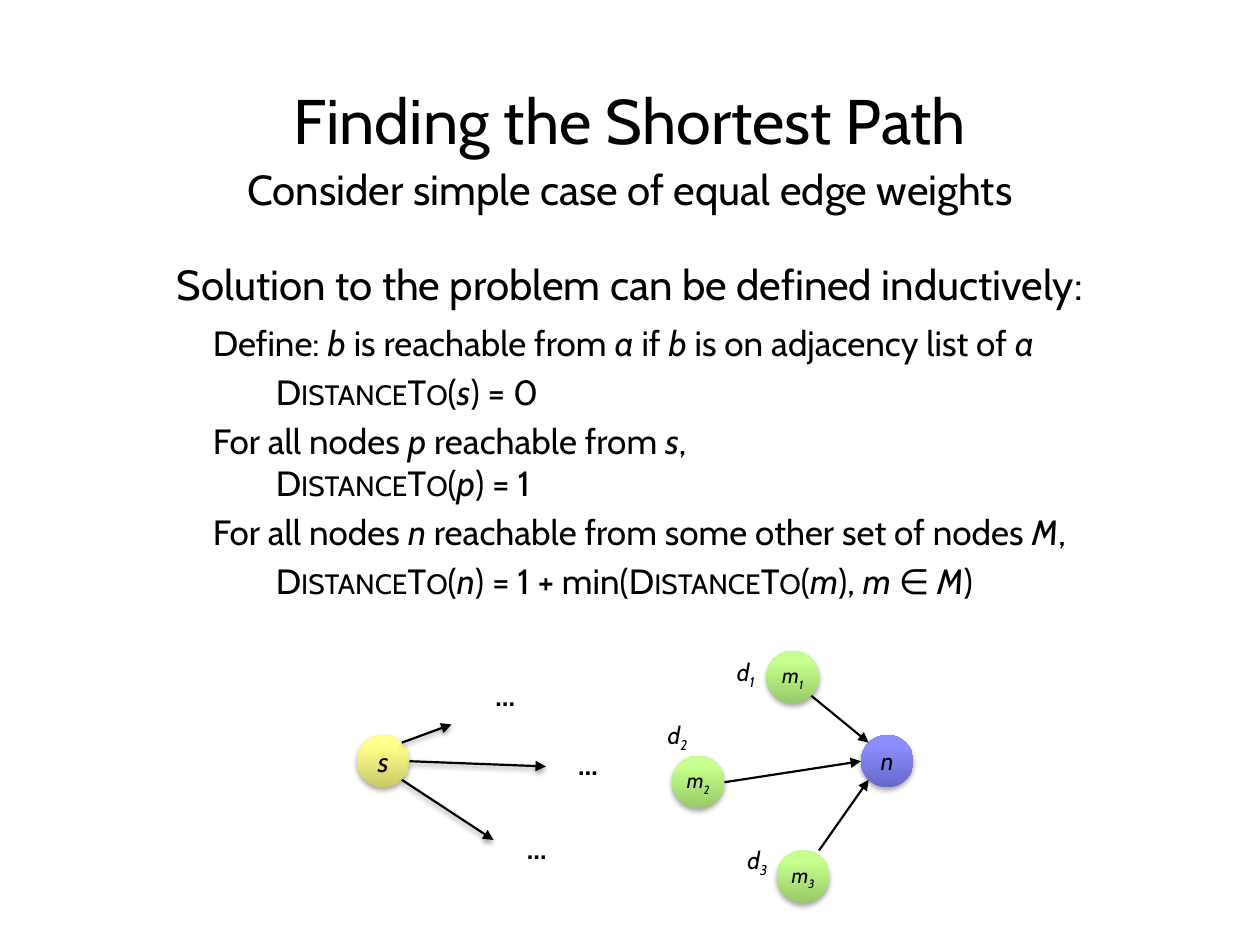
import copy
import math

from lxml import etree
from pptx import Presentation
from pptx.dml.color import RGBColor
from pptx.enum import shapes, text
from pptx.oxml import ns
from pptx.util import Pt

FONT = "Cabin"
COLORS = {
    "ink": "000000",
    "yellow": ("CACA67", "FFFF8C", "FFFF8E"),
    "green": ("98CA67", "C6FF8C", "C7FF8E"),
    "blue": ("6767CA", "8C8CFF", "8E8EFF"),
}
GRADIENT_POSITIONS = (0, 0.8, 1)

# Headings: text, top, height, size
HEADINGS = [
    ("Finding the Shortest Path", 43.2, 54, 36),
    ("Consider simple case of equal edge weights", 90, 36, 24),
    ("Solution to the problem can be defined inductively:", 144, 36, 24),
]

# A run is plain text or (text, style)
DISTANCE = ("DistanceTo", "small")
DEFINITION = [
    ["Define: ", ("b", "italic"), " is reachable from ", ("a", "italic"), " if ",
     ("b", "italic"), " is on adjacency list of ", ("a", "italic")],
    ["\t", DISTANCE, "(", ("s", "italic"), ") = 0"],
    ["For all nodes ", ("p", "italic"), " reachable from ", ("s", "italic"), ", ",
     "\n", "\t", DISTANCE, "(", ("p", "italic"), ") = 1"],
    ["For all nodes ", ("n", "italic"), " reachable from some other set of nodes ",
     ("M", "italic"), ","],
    ["\t", DISTANCE, "(", ("n", "italic"), ") = 1 + min(", DISTANCE, "(", ("m", "italic"),
     "), ", ("m ", "italic"), "∈ ", ("M", "italic"), ")"],
]

# Nodes: letter, subscript, left, top, color, size
NODE_SIZE = 30
NODES = {
    "s": ("s", "", 204, 420, "yellow", 16),
    "m3": ("m", "3", 444, 486, "green", 12),
    "m2": ("m", "2", 384, 432, "green", 12),
    "m1": ("m", "1", 438, 372, "green", 12),
    "n": ("n", "", 492, 420, "blue", 14),
}

# Edge ends: a point, or (node, clockwise angle on its rim)
INCOMING_EDGES = [
    (("m1", 45), ("n", 225)),
    (("m2", 0), ("n", 180)),
    ((468, 486), ("n", 135)),
]
OUTGOING_EDGES = [
    (("s", -45), (258, 414)),
    (("s", 0), (312, 438)),
    (("s", 45), (282, 480)),
]

# Labels: left, top
ELLIPSES = [(276, 384), (323.3, 423.4), (294, 471.6)]
DISTANCES = [("1", 414, 372), ("2", 374.4, 408), ("3", 420, 479.5)]


def add_runs(paragraph, runs, size):
    for item in runs:
        content, style = (item, "") if isinstance(item, str) else item
        if content == "\n":
            paragraph.add_line_break()
            continue
        run = paragraph.add_run()
        run.text = content
        run.font.name = FONT
        run.font.size = Pt(size)
        run.font.color.rgb = RGBColor.from_string(COLORS["ink"])
        run.font.bold = style == "bold"
        run.font.italic = style in ("italic", "subscript")
        if style == "small":
            run.font._element.set("cap", "small")
        elif style == "subscript":
            run.font._element.set("baseline", "-25000")


def add_text(slide, box, paragraphs, size, align=text.PP_ALIGN.LEFT, wrap=True, gap=0):
    frame = slide.shapes.add_textbox(*map(Pt, box)).text_frame
    frame.word_wrap = wrap
    for index, runs in enumerate(paragraphs):
        paragraph = frame.add_paragraph() if index else frame.paragraphs[0]
        paragraph.alignment = align
        if gap:
            paragraph.space_before = Pt(gap if index else 0)
            paragraph.space_after = Pt(gap)
        add_runs(paragraph, runs, size)


def set_effects(shape, shadow=None):
    """Give the shape a downward shadow (alpha %, blur, distance), or none."""
    effects = etree.SubElement(shape._element.spPr, ns.qn("a:effectLst"))
    if shadow:
        alpha, blur, distance = shadow
        outer = etree.SubElement(effects, ns.qn("a:outerShdw"), blurRad=str(Pt(blur)),
                                 dist=str(Pt(distance)), dir="5400000", rotWithShape="0")
        color = etree.SubElement(outer, ns.qn("a:srgbClr"), val=COLORS["ink"])
        etree.SubElement(color, ns.qn("a:alpha"), val=str(alpha * 1000))


def fill_gradient(shape, colors):
    shape.fill.gradient()
    shape.fill.gradient_angle = 90
    first = shape.fill.gradient_stops[0]._gs
    first.addnext(copy.deepcopy(first))
    for stop, position, color in zip(shape.fill.gradient_stops, GRADIENT_POSITIONS, colors):
        stop.position = position
        stop.color.rgb = RGBColor.from_string(color)


def add_node(slide, letter, subscript, left, top, color, size):
    node = slide.shapes.add_shape(shapes.MSO_SHAPE.OVAL, Pt(left), Pt(top),
                                  Pt(NODE_SIZE), Pt(NODE_SIZE))
    fill_gradient(node, COLORS[color])
    node.line.fill.background()
    set_effects(node, (35, 3.1, 1.8))
    frame = node.text_frame
    frame.margin_left = frame.margin_right = frame.margin_top = frame.margin_bottom = 0
    frame.vertical_anchor = text.MSO_ANCHOR.MIDDLE
    frame.paragraphs[0].alignment = text.PP_ALIGN.CENTER
    runs = [(letter, "italic")] + ([(subscript, "subscript")] if subscript else [])
    add_runs(frame.paragraphs[0], runs, size)


def locate(end):
    """Turn an edge end into a point."""
    if end[0] not in NODES:
        return end
    name, degrees = end
    left, top = NODES[name][2:4]
    radius, angle = NODE_SIZE / 2, math.radians(degrees)
    return left + radius * (1 + math.cos(angle)), top + radius * (1 + math.sin(angle))


def add_edge(slide, start, end, shadow=None):
    points = map(Pt, locate(start) + locate(end))
    edge = slide.shapes.add_connector(shapes.MSO_CONNECTOR.STRAIGHT, *points)
    edge.line.width = Pt(1.25)
    edge.line.color.rgb = RGBColor.from_string(COLORS["ink"])
    etree.SubElement(edge.line._ln, ns.qn("a:tailEnd"), type="triangle")
    set_effects(edge, shadow)


def main():
    presentation = Presentation()
    presentation.slide_width, presentation.slide_height = Pt(720), Pt(540)
    slide = presentation.slides.add_slide(presentation.slide_layouts[6])

    for heading, top, height, size in HEADINGS:
        add_text(slide, (0, top, 720, height), [[heading]], size, text.PP_ALIGN.CENTER)
    add_text(slide, (114.5, 180, 522, 180), DEFINITION, 20, gap=2)

    for node in NODES.values():
        add_node(slide, *node)
    for start, end in INCOMING_EDGES:
        add_edge(slide, start, end)
    for start, end in OUTGOING_EDGES:
        add_edge(slide, start, end, (38, 3.1, 1.6))

    for left, top in ELLIPSES:
        add_text(slide, (left, top, 31, 26.6), [[("…", "bold")]], 16, wrap=False)
    for number, left, top in DISTANCES:
        runs = [("d", "italic"), (number, "subscript")]
        add_text(slide, (left, top, 27.4, 24.5), [runs], 14, wrap=False)

    presentation.save("out.pptx")


if __name__ == "__main__":
    main()
